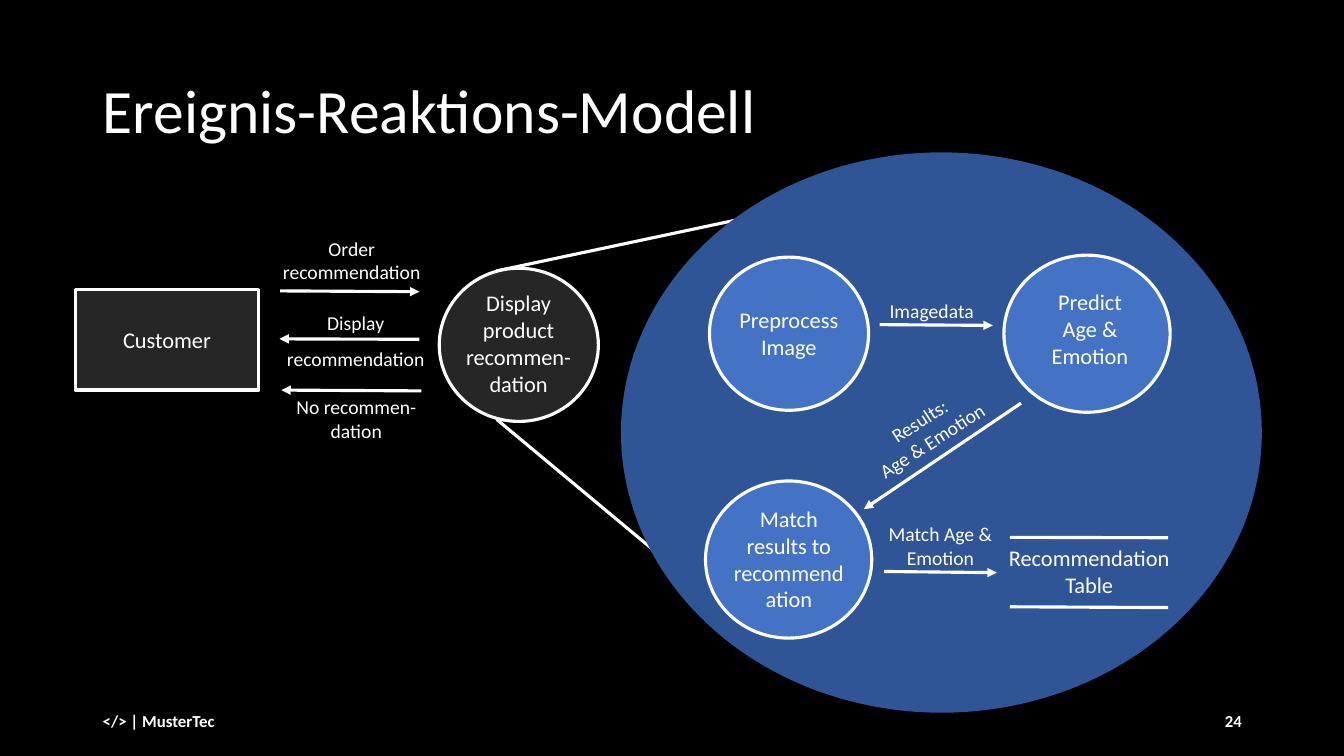
from lxml import etree
from pptx import Presentation
from pptx.dml.color import RGBColor
from pptx.enum.shapes import MSO_CONNECTOR, MSO_SHAPE
from pptx.enum.text import MSO_ANCHOR as Anchor, MSO_AUTO_SIZE as AutoSize, PP_ALIGN as Align
from pptx.oxml.ns import qn
from pptx.util import Cm, Pt

COLORS = {
    "background": "000000",
    "white": "FFFFFF",
    "external": "262626",
    "zoom": "2F5597",
    "process": "4472C4",
}
FONT = "Calibri"
LINE_WIDTH = Pt(2.25)


def rgb(name):
    return RGBColor.from_string(COLORS[name])


def write(box, text, size=16, bold=False, align=Align.CENTER, spacing=None,
          anchor=Anchor.TOP, grow=True):
    """Fill the text frame of a box, one paragraph per line of text."""
    frame = box.text_frame
    frame.word_wrap = True
    frame.vertical_anchor = anchor
    frame.auto_size = AutoSize.SHAPE_TO_FIT_TEXT if grow else AutoSize.NONE
    frame.text = text
    for para in frame.paragraphs:
        para.alignment = align
        para.line_spacing = spacing
        for span in para.runs:
            span.font.name = FONT
            span.font.size = Pt(size)
            span.font.bold = bold
            span.font.color.rgb = rgb("white")


deck = Presentation()
deck.slide_width, deck.slide_height = Cm(33.87), Cm(19.05)
page = deck.slides.add_slide(deck.slide_layouts[5])
page.background.fill.solid()
page.background.fill.fore_color.rgb = rgb("background")
shapes = page.shapes

# Title
title = shapes.title
title.left, title.top, title.width, title.height = Cm(2.34), Cm(1.02), Cm(29.21), Cm(3.68)
write(title, "Ereignis-Reaktions-Modell", size=44, align=Align.LEFT, spacing=0.9,
      anchor=Anchor.MIDDLE, grow=False)

# Lines and flows: start x, start y, end x, end y, arrowhead at the end
connections = [
    (12.5, 6.83, 19.33, 5.38, False),     # zoom, upper edge
    (12.52, 10.57, 16.54, 13.92, False),  # zoom, lower edge
    (25.45, 13.54, 29.44, 13.55, False),  # data store, top
    (25.45, 15.29, 29.44, 15.31, False),  # data store, bottom
    (7.06, 7.33, 10.57, 7.35, True),      # order
    (10.57, 8.55, 7.04, 8.54, True),      # display
    (10.62, 9.85, 7.09, 9.83, True),      # no recommendation
    (22.17, 8.18, 25.02, 8.2, True),      # image data
    (25.73, 10.16, 21.77, 12.83, True),   # results
    (22.28, 14.4, 25.12, 14.43, True),    # match
]
for *ends, arrow in connections:
    line = shapes.add_connector(MSO_CONNECTOR.STRAIGHT, *map(Cm, ends))
    line.line.color.rgb = rgb("white")
    line.line.width = LINE_WIDTH
    if arrow:
        etree.SubElement(line.line._get_or_add_ln(), qn("a:tailEnd"), type="triangle")
    etree.SubElement(line._element.spPr, qn("a:effectLst"))

# Nodes: preset, left, top, width, height, fill, outlined, text
nodes = [
    (MSO_SHAPE.OVAL, 15.65, 3.84, 16.15, 14.12, "zoom", False, ""),
    (MSO_SHAPE.RECTANGLE, 1.9, 7.29, 4.62, 2.54, "external", True, "Customer"),
    (MSO_SHAPE.OVAL, 11.07, 6.76, 4.01, 3.86, "external", True, ""),
    (MSO_SHAPE.OVAL, 17.88, 6.48, 4.01, 3.86, "process", True, ""),
    (MSO_SHAPE.OVAL, 25.3, 6.43, 4.19, 3.96, "process", True, ""),
    (MSO_SHAPE.OVAL, 17.78, 12.12, 4.19, 3.96, "process", True, ""),
]
for preset, left, top, width, height, fill, outlined, text in nodes:
    node = shapes.add_shape(preset, Cm(left), Cm(top), Cm(width), Cm(height))
    node.shadow.inherit = False
    node.fill.solid()
    node.fill.fore_color.rgb = rgb(fill)
    if outlined:
        node.line.color.rgb = rgb("white")
        node.line.width = LINE_WIDTH
    else:
        node.line.fill.background()
    if text:
        write(node, text, anchor=Anchor.MIDDLE, grow=False)

# The zoom lines lie behind the large oval, the other lines in front of it
zoom_oval = next(shape for shape in shapes if shape.width == Cm(16.15))
lines = [shape for shape in shapes if shape._element.tag == qn("p:cxnSp")]
lines[1]._element.addnext(zoom_oval._element)

# Labels: left, top, width, height, text, rotation, format
flow = {"size": 14}
footer = {"size": 12, "bold": True, "anchor": Anchor.MIDDLE, "grow": False}
labels = [
    (11.38, 7.16, 3.38, 3, "Display product recommen-dation", 0, {}),
    (18.19, 7.59, 3.38, 1.63, "Preprocess Image", 0, {}),
    (25.78, 7.14, 3.38, 2.31, "Predict\nAge &\nEmotion", 0, {}),
    (18.19, 12.6, 3.38, 3, "Match results to recommendation", 0, {}),
    (25.15, 13.59, 4.6, 1.63, "Recommendation\nTable", 0, {}),
    (6.86, 5.84, 4.01, 1.45, "Order\nrecommendation", 0, flow),
    (6.96, 7.42, 4.01, 1.96, "Display recommendation", 0, {**flow, "spacing": 1.5}),
    (7.09, 9.83, 3.78, 1.45, "No recommen-dation", 0, flow),
    (21.41, 7.42, 4.14, 0.86, "Imagedata", 0, flow),
    (21.26, 10.13, 4.14, 1.45, "Results:\nAge & Emotion", 327.3, flow),
    (22.05, 13.03, 3.3, 1.47, "Match Age & Emotion", 0, flow),
    (2.34, 17.65, 7.62, 1.02, "</> | MusterTec", 0, {**footer, "align": Align.LEFT}),
    (23.93, 17.65, 7.62, 1.02, "24", 0, {**footer, "align": Align.RIGHT}),
]
for left, top, width, height, text, rotation, style in labels:
    label = shapes.add_textbox(Cm(left), Cm(top), Cm(width), Cm(height))
    label.rotation = rotation
    write(label, text, **style)

deck.save("out.pptx")
